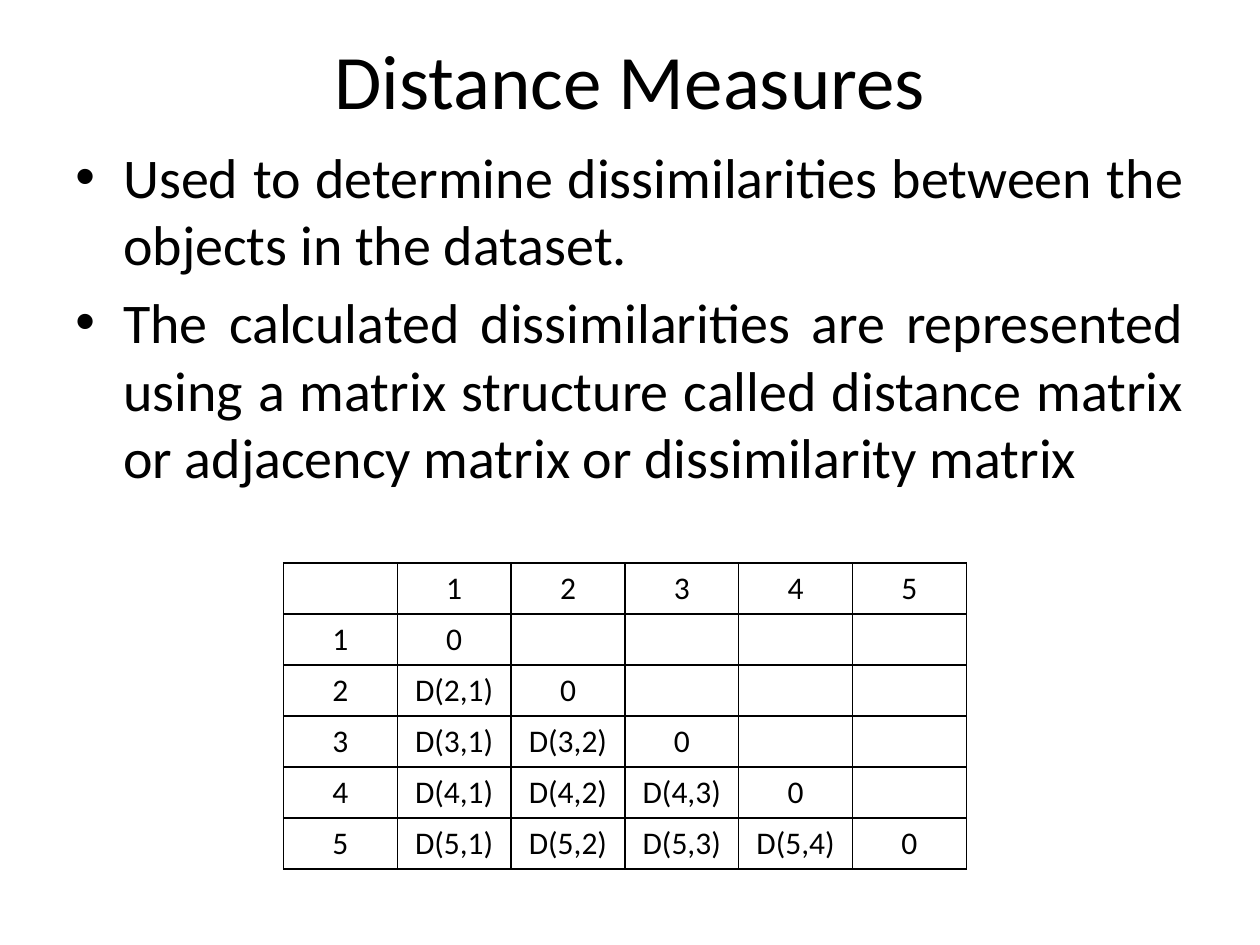
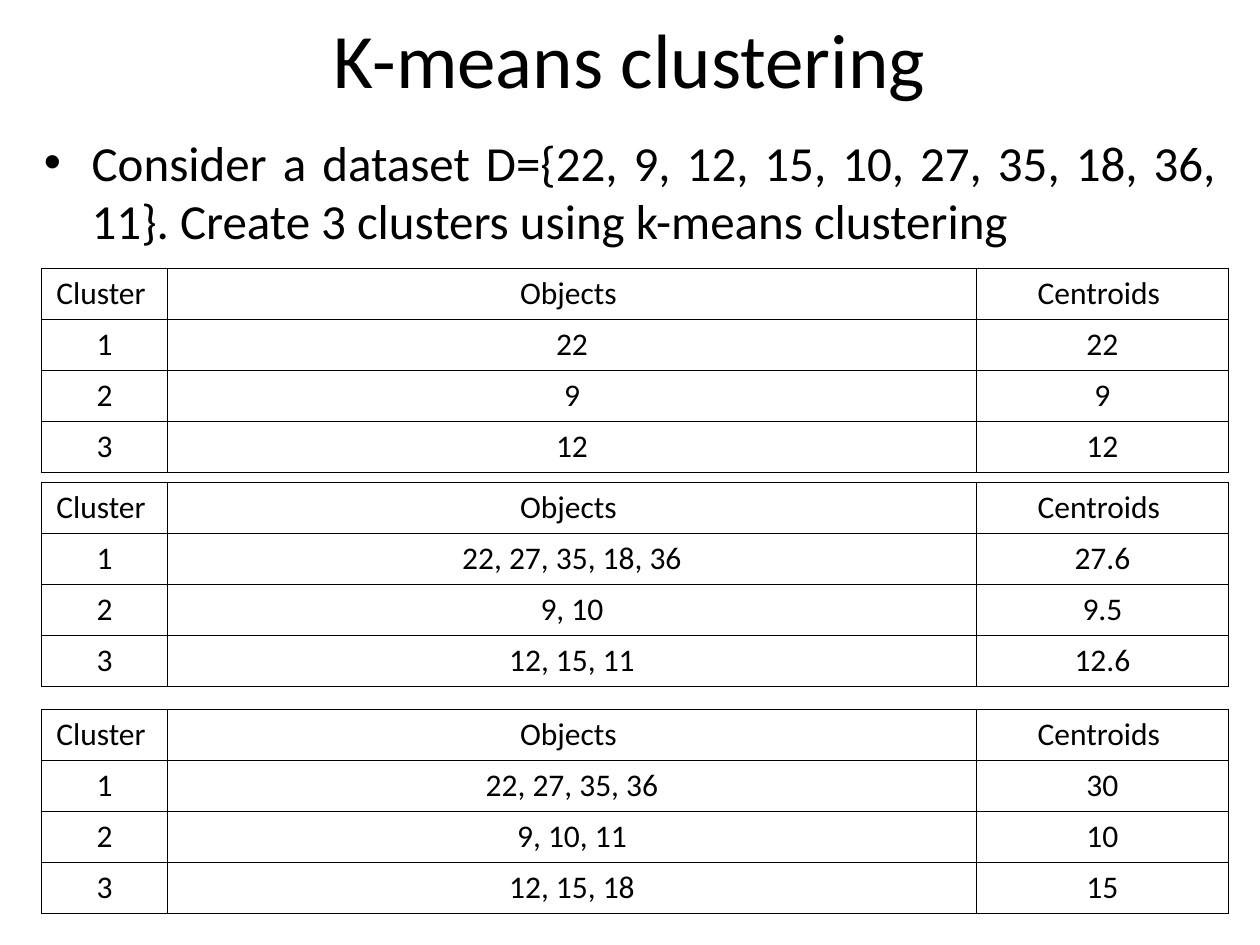
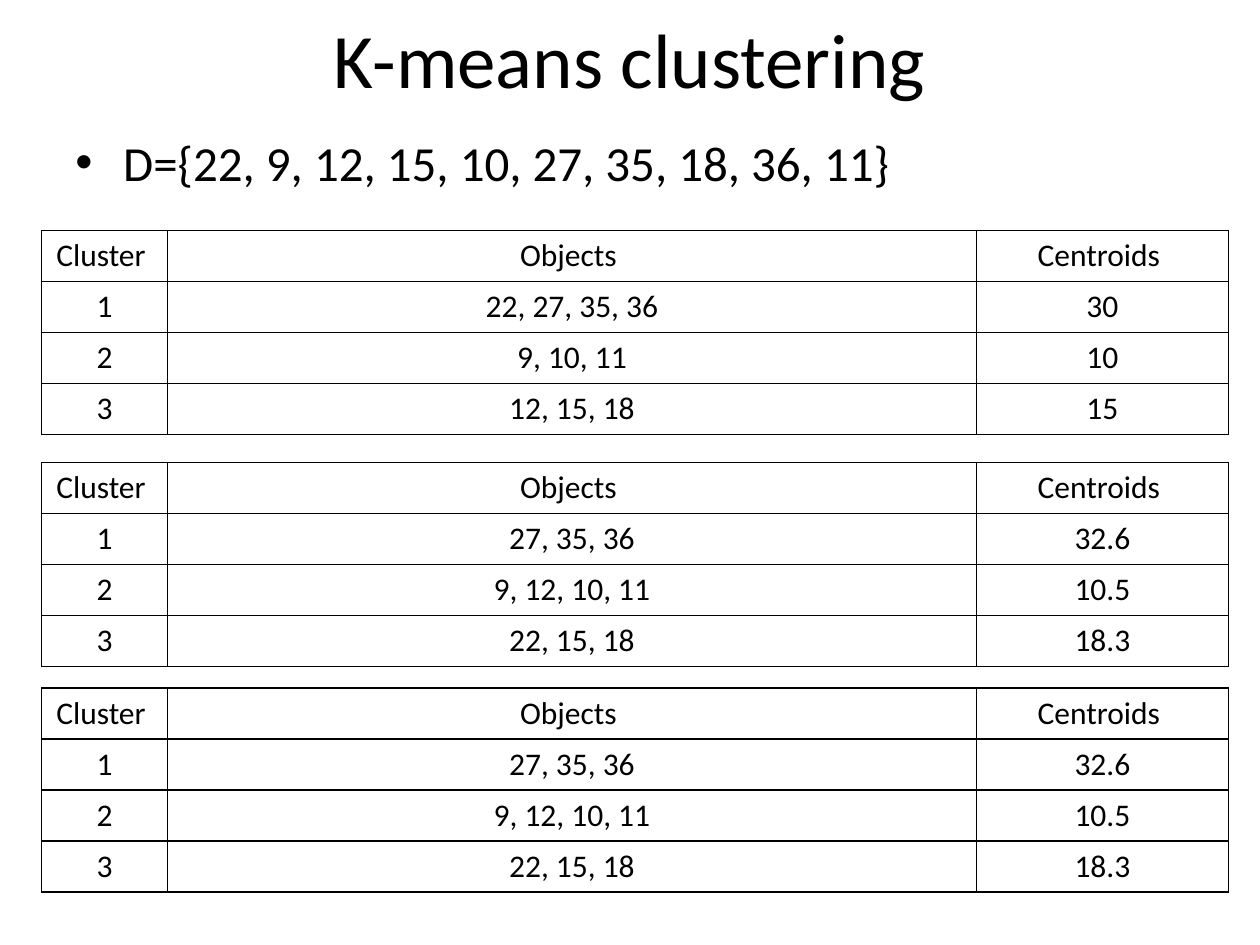
"""Build three slides on distance measures and k-means clustering."""
from dataclasses import dataclass

from lxml.etree import SubElement
from pptx import Presentation
from pptx.dml.color import RGBColor
from pptx.enum.text import MSO_ANCHOR as Anchor, PP_ALIGN as Align
from pptx.oxml.ns import qn
from pptx.util import Inches, Pt


@dataclass(frozen=True)
class Theme:
    """Colours, font and type sizes of the deck."""
    font: str = "Calibri"
    ink: RGBColor = RGBColor(0, 0, 0)
    paper: RGBColor = RGBColor(255, 255, 255)
    title: int = 44
    body: int = 32
    example: int = 28
    cell: int = 18
    border: int = 1


class Deck:
    """Hold the theme and the current slide, and add elements to it."""

    def __init__(self, theme):
        self.theme = theme
        self.presentation = Presentation()
        self.presentation.slide_width = Inches(10)
        self.presentation.slide_height = Inches(7.5)
        self.slide = None

    def new_slide(self):
        self.slide = self.presentation.slides.add_slide(self.presentation.slide_layouts[6])
        fill = self.slide.background.fill
        fill.solid()
        fill.fore_color.rgb = self.theme.paper

    def style(self, paragraph, size, align):
        paragraph.alignment = align
        for run in paragraph.runs:
            run.font.name = self.theme.font
            run.font.size = Pt(size)
            run.font.bold = False
            run.font.color.rgb = self.theme.ink

    def text_frame(self, left, top, width, height):
        box = self.slide.shapes.add_textbox(
            Inches(left), Inches(top), Inches(width), Inches(height))
        box.text_frame.word_wrap = True
        return box.text_frame

    def title(self, text, height=0.92):
        frame = self.text_frame(0.5, 0, 9, height)
        frame.vertical_anchor = Anchor.MIDDLE
        frame.text = text
        self.style(frame.paragraphs[0], self.theme.title, Align.CENTER)

    def bullets(self, items, area, size, align=Align.JUSTIFY):
        frame = self.text_frame(*area)
        frame.text = "\n".join(items)
        for index, paragraph in enumerate(frame.paragraphs):
            properties = paragraph._p.get_or_add_pPr()
            properties.set("marL", str(Inches(0.38)))
            properties.set("indent", str(-Inches(0.38)))
            SubElement(properties, qn("a:buFont"), typeface="Arial")
            SubElement(properties, qn("a:buChar"), char="•")
            paragraph.space_before = Pt(0.2 * size if index else 0)
            self.style(paragraph, size, align)

    def border(self, cell):
        properties = cell._tc.get_or_add_tcPr()
        for side in ("lnL", "lnR", "lnT", "lnB"):
            line = SubElement(properties, qn(f"a:{side}"), w=str(Pt(self.theme.border)))
            fill = SubElement(line, qn("a:solidFill"))
            SubElement(fill, qn("a:srgbClr"), val=str(self.theme.ink))

    def table(self, rows, left, top, widths):
        row_height = Inches(1.62) // 4
        table = self.slide.shapes.add_table(
            len(rows), len(widths), Inches(left), Inches(top),
            Inches(sum(widths)), row_height * len(rows)).table
        table.first_row = table.horz_banding = False
        for column, width in zip(table.columns, widths):
            column.width = Inches(width)
        for row, values in zip(table.rows, rows):
            row.height = row_height
            for cell, value in zip(row.cells, values):
                self.border(cell)
                cell.fill.background()
                cell.text_frame.text = value
                self.style(cell.text_frame.paragraphs[0], self.theme.cell, Align.CENTER)

    def cluster_table(self, clusters, top):
        rows = [("Cluster ", "Objects ", "Centroids ")]
        rows += [(str(number), *cluster) for number, cluster in enumerate(clusters, 1)]
        self.table(rows, 0.33, top, (1, 6.42, 2))


DATASET = "D={22, 9, 12, 15, 10, 27, 35, 18, 36, 11}"
START = (("22", "22"), ("9", "9"), ("12", "12"))
FIRST_PASS = (("22, 27, 35, 18, 36", "27.6"), ("9, 10", "9.5"), ("12, 15, 11", "12.6"))
SECOND_PASS = (("22, 27, 35, 36", "30"), ("9, 10, 11", "10"), ("12, 15, 18", "15"))
FINAL_PASS = (("27, 35, 36", "32.6"), ("9, 12, 10, 11", "10.5"), ("22, 15, 18", "18.3"))


def distance_entry(row, column):
    if row == 0 or column == 0:
        return str(row + column or "")
    if row == column:
        return "0"
    return f"D({row},{column})" if row > column else ""


def distance_slide(deck):
    deck.new_slide()
    deck.bullets(
        ["Used to determine dissimilarities between the objects in the dataset.",
         "The calculated dissimilarities are represented using a matrix structure called "
         "distance matrix or adjacency matrix or dissimilarity matrix"],
        (0.5, 1.08, 9, 6.08), deck.theme.body)
    deck.title("Distance Measures", 1.25)
    matrix = [[distance_entry(row, column) for column in range(6)] for row in range(6)]
    deck.table(matrix, 2.25, 4.47, [5.42 / 6] * 6)


def clustering_slide(deck, text, area, align, passes):
    deck.new_slide()
    deck.bullets([text], area, deck.theme.example, align)
    deck.title("K-means clustering")
    for top, clusters in passes:
        deck.cluster_table(clusters, top)


def main():
    deck = Deck(Theme())
    distance_slide(deck)
    clustering_slide(
        deck, f"Consider a dataset {DATASET}. Create 3 clusters using k-means clustering",
        (0.25, 1, 9.5, 6.17), Align.JUSTIFY,
        ((2.13, START), (3.83, FIRST_PASS), (5.63, SECOND_PASS)))
    clustering_slide(
        deck, DATASET, (0.5, 1, 9, 0.83), Align.LEFT,
        ((1.83, SECOND_PASS), (3.67, FINAL_PASS), (5.46, FINAL_PASS)))
    deck.presentation.save("out.pptx")


if __name__ == "__main__":
    main()
